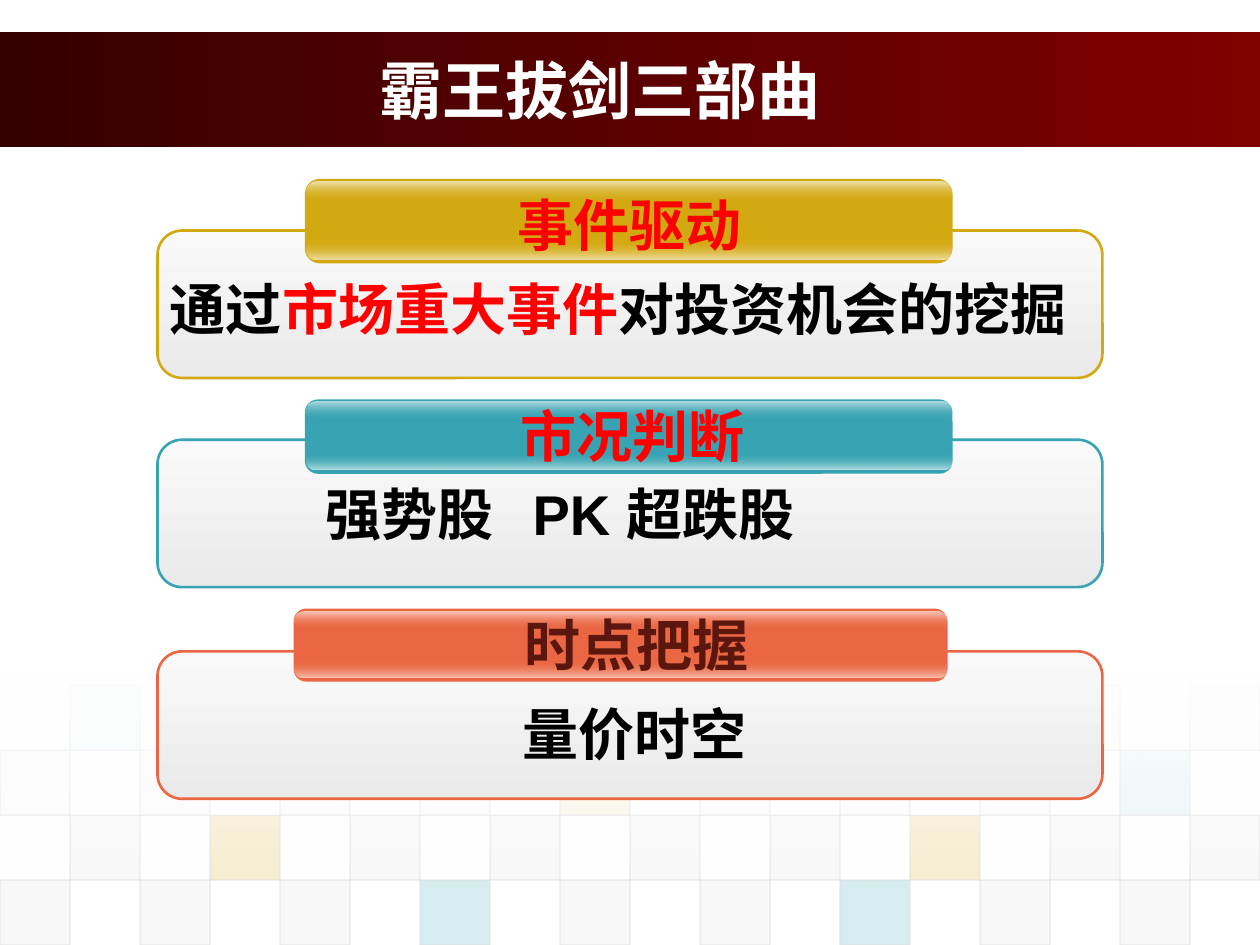
import pptx
import pptx.util
from lxml import etree
from pptx.dml.color import RGBColor
from pptx.enum.shapes import MSO_SHAPE
from pptx.enum.text import MSO_ANCHOR, MSO_AUTO_SIZE, PP_ALIGN
from pptx.oxml.ns import qn

Inches, Pt = pptx.util.Inches, pptx.util.Pt

WIDTH, HEIGHT = 10, 7.5
WHITE = RGBColor(0xFF, 0xFF, 0xFF)
BLACK = RGBColor(0x00, 0x00, 0x00)
RED = RGBColor(0xFF, 0x00, 0x00)
BROWN = RGBColor(0x5B, 0x17, 0x0E)
DARK_RED = RGBColor(0x35, 0x00, 0x00)
MAROON = RGBColor(0x80, 0x00, 0x00)
GOLD = RGBColor(0xD3, 0xA9, 0x11)
TEAL = RGBColor(0x38, 0xA3, 0xB2)
ORANGE = RGBColor(0xEB, 0x67, 0x43)
GREY = RGBColor(0xDD, 0xDD, 0xDD)
LIGHT_GREY = RGBColor(0xEA, 0xEA, 0xEA)
PALE_GREY = RGBColor(0xF9, 0xF9, 0xF9)

# Checkerboard: one letter a tile, every second column
TILE_COLOURS = {"D": GREY, "E": LIGHT_GREY, "T": TEAL, "G": GOLD}
TILE_ROWS = [("TEETDTEGE", 1, 5), ("DDDDGDDDT", 0, 10),
             ("DGDDDDGDD", 1, 20), ("DDDTDDTDD", 0, 20)]
TILE_COLUMNS = 18
TILE_TOP = 5.44

# Panels: top, colour, bar (left, top, width, height), highlight, shade
PANELS = [
    (5.17, ORANGE, (2.33, 4.83, 5.19, 0.58),
     RGBColor(0xF8, 0xCA, 0xBD), RGBColor(0xF7, 0xC5, 0xB7)),
    (3.49, TEAL, (2.42, 3.17, 5.14, 0.59),
     RGBColor(0xB3, 0xDC, 0xE2), RGBColor(0xBA, 0xDF, 0xE4)),
    (1.83, GOLD, (2.42, 1.42, 5.14, 0.67),
     RGBColor(0xF1, 0xE4, 0xB3), RGBColor(0xF0, 0xE1, 0xAC)),
]
PANEL_LEFT, PANEL_WIDTH, PANEL_HEIGHT = 1.25, 7.5, 1.17

# Bar labels: text, colour, centre, top
LABELS = [("事件驱动", RED, 5, 1.46), ("市况判断", RED, 5.02, 3.14),
          ("时点把握", BROWN, 5.05, 4.8)]


def set_alpha(colour_element, percent):
    alpha = etree.SubElement(colour_element, qn("a:alpha"))
    alpha.set("val", str(percent * 1000))


def add_box(shapes, box, start, end=None, alphas=(100, 100), angle=270,
            line=None, line_width=1.5, line_alpha=100, corner=None):
    """Rectangle, rounded when corner is given, with a plain or two-stop fill."""
    kind = MSO_SHAPE.RECTANGLE if corner is None else MSO_SHAPE.ROUNDED_RECTANGLE
    shape = shapes.add_shape(kind, *map(Inches, box))
    shape.shadow.inherit = False
    if corner is not None:
        shape.adjustments[0] = corner
    if end is None:
        shape.fill.solid()
        shape.fill.fore_color.rgb = start
    else:
        shape.fill.gradient()
        shape.fill.gradient_angle = angle
        for stop, colour, position in zip(shape.fill.gradient_stops, (start, end), (0, 1)):
            stop.color.rgb = colour
            stop.position = position
    properties = shape._element.spPr
    for element, alpha in zip(list(properties.iter(qn("a:srgbClr"))), alphas):
        if alpha < 100:
            set_alpha(element, alpha)
    if line is None:
        shape.line.fill.background()
    else:
        shape.line.color.rgb = line
        shape.line.width = Pt(line_width)
        if line_alpha < 100:
            set_alpha(properties.find(qn("a:ln")).find(".//" + qn("a:srgbClr")), line_alpha)
    return shape


def write_text(shape, *runs, size=32, font="Arial", align=PP_ALIGN.LEFT, left=0.1,
               anchor=MSO_ANCHOR.TOP, spacing=None, tab=None, shadow=False):
    """Fill a shape with one paragraph of (text, colour) runs."""
    frame = shape.text_frame
    frame.word_wrap = True
    frame.auto_size = MSO_AUTO_SIZE.NONE
    frame.vertical_anchor = anchor
    frame.margin_left, frame.margin_right = Inches(left), Inches(0.1)
    frame.margin_top = frame.margin_bottom = Inches(0.05)
    paragraph = frame.paragraphs[0]
    paragraph.alignment = align
    if spacing:
        paragraph.line_spacing = spacing
    if tab:
        stops = etree.SubElement(paragraph._p.get_or_add_pPr(), qn("a:tabLst"))
        etree.SubElement(stops, qn("a:tab"), pos=str(Inches(tab)), algn="l")
    for text, colour in runs:
        run = paragraph.add_run()
        run.text = text
        run.font.size, run.font.bold, run.font.name = Pt(size), True, font
        run.font.color.rgb = colour
        if shadow:
            effects = etree.Element(qn("a:effectLst"))
            outer = etree.SubElement(effects, qn("a:outerShdw"), dist=str(Pt(2)), dir="2700000")
            etree.SubElement(outer, qn("a:srgbClr"), val=str(BLACK))
            run.font._element.find(qn("a:solidFill")).addnext(effects)


def add_text(slide, box, *runs, **text_format):
    write_text(slide.shapes.add_textbox(*map(Inches, box)), *runs, **text_format)


def add_background(slide):
    add_box(slide.shapes, (0, 0.25, WIDTH, 0.92), DARK_RED, MAROON, angle=0)
    tile_width = WIDTH / TILE_COLUMNS
    tile_height = (HEIGHT - TILE_TOP) / len(TILE_ROWS)
    for row, (letters, first_column, alpha) in enumerate(TILE_ROWS):
        for index, letter in enumerate(letters):
            left = (first_column + 2 * index) * tile_width
            add_box(slide.shapes, (left, TILE_TOP + row * tile_height, tile_width, tile_height),
                    TILE_COLOURS[letter], alphas=(alpha,),
                    line=GREY, line_width=0.75, line_alpha=60)
    # White veil that fades downwards
    add_box(slide.shapes, (0, 5.37, WIDTH, 1.62), WHITE, WHITE, alphas=(90, 0))


def add_panel(slide, top, colour):
    return add_box(slide.shapes, (PANEL_LEFT, top, PANEL_WIDTH, PANEL_HEIGHT),
                   PALE_GREY, LIGHT_GREY, line=colour, corner=0.167)


def add_glossy_bar(slide, colour, bar, highlight, shade):
    left, top, width, height = bar
    shapes = slide.shapes.add_group_shape().shapes
    gloss = height * 0.24
    add_box(shapes, bar, colour, corner=0.175)
    add_box(shapes, (left + 0.01, top + height - gloss - 0.03, width - 0.02, gloss),
            colour, shade, alphas=(0, 100), corner=0.5)
    add_box(shapes, (left + 0.01, top + 0.02, width - 0.02, gloss),
            highlight, colour, alphas=(100, 0), corner=0.5)


def add_title(slide):
    title = slide.shapes.title
    title.left, title.top, title.width, title.height = map(Inches, (1.33, 0.25, 8.08, 0.92))
    write_text(title, ("霸王拔剑三部曲", WHITE), size=36, left=1.68, anchor=MSO_ANCHOR.MIDDLE)
    # Bring the title in front of the band
    slide.shapes._spTree.append(title._element)


def main():
    presentation = pptx.Presentation()
    presentation.slide_width, presentation.slide_height = Inches(WIDTH), Inches(HEIGHT)
    slide = presentation.slides.add_slide(presentation.slide_layouts[5])

    add_background(slide)
    add_title(slide)

    # Panels, then the bars that overlap them
    panels = [add_panel(slide, top, colour) for top, colour, *_ in PANELS]
    for _, colour, bar, highlight, shade in PANELS:
        add_glossy_bar(slide, colour, bar, highlight, shade)
    for text, colour, centre, top in LABELS:
        add_text(slide, (centre - 1.1, top, 2.2, 0.64), (text, colour),
                 font="Calibri", align=PP_ALIGN.CENTER, shadow=True)

    # Panel texts
    add_text(slide, (PANEL_LEFT, 2.08, PANEL_WIDTH, 0.69), ("通过", BLACK),
             ("市场重大事件", RED), ("对投资机会的挖掘", BLACK), spacing=1.1)
    write_text(panels[1], ("强势股\tPK 超跌股", BLACK), left=1.28, tab=1.64,
               anchor=MSO_ANCHOR.MIDDLE)
    add_text(slide, (1.29, 5.5, PANEL_WIDTH, 0.64), ("量价时空", BLACK),
             font="Calibri", align=PP_ALIGN.CENTER)

    presentation.save("out.pptx")


if __name__ == "__main__":
    main()
